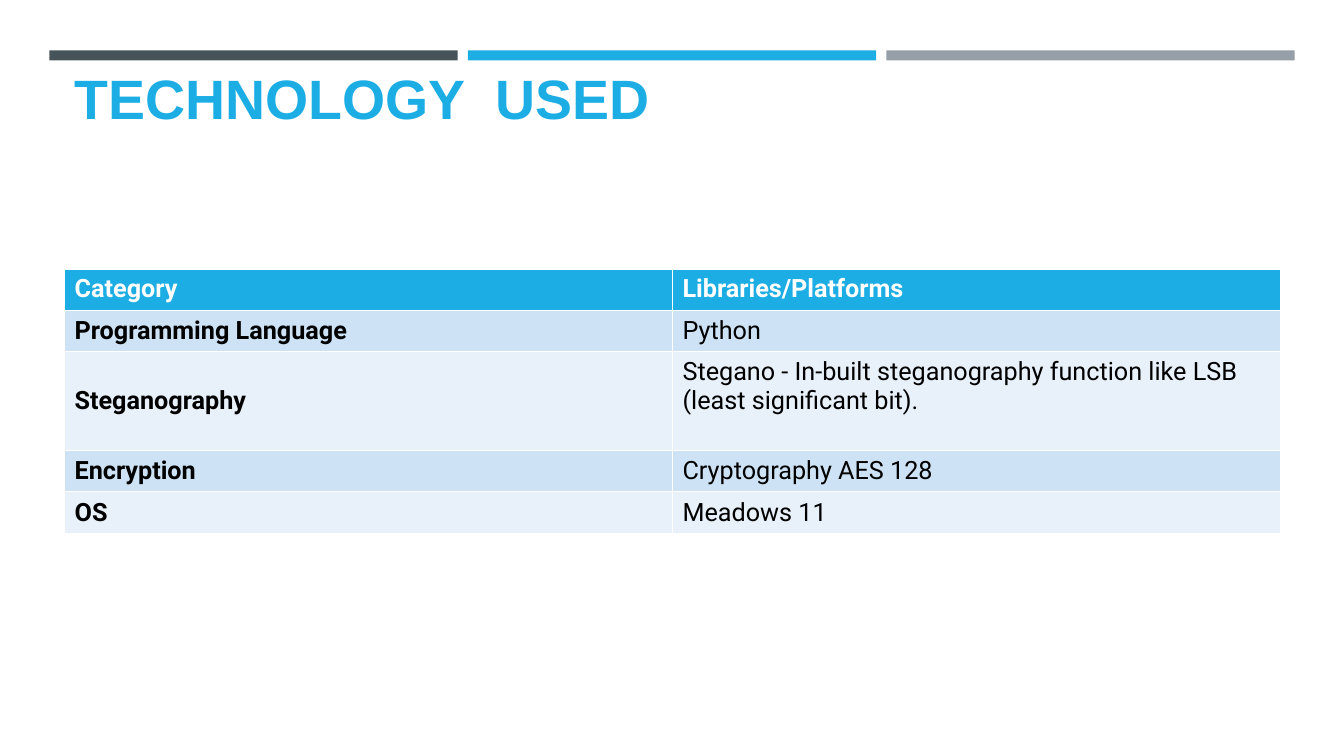
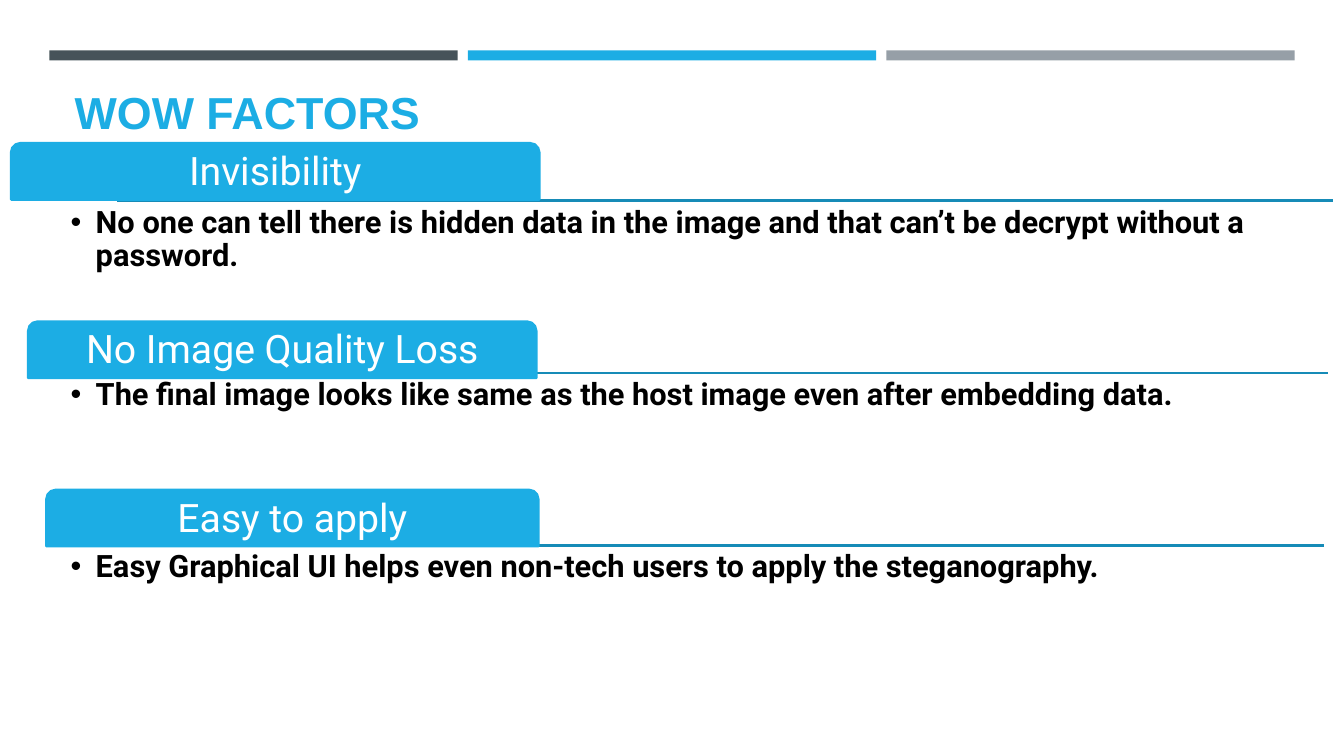
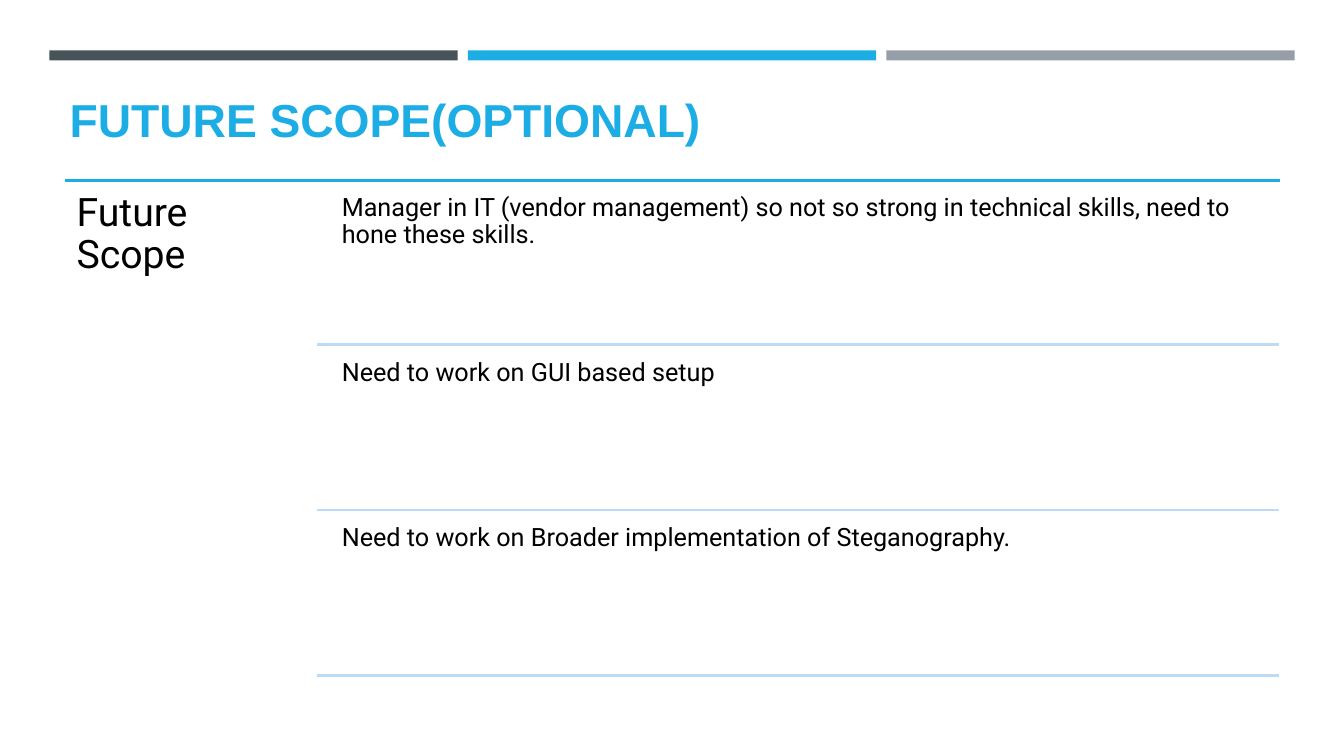
"""Build three steganography project slides: technology, wow factors and future scope."""
from dataclasses import dataclass

from lxml import etree
from pptx import Presentation
from pptx.dml.color import RGBColor
from pptx.enum.shapes import MSO_CONNECTOR, MSO_SHAPE
from pptx.enum.text import MSO_ANCHOR, MSO_AUTO_SIZE, PP_ALIGN
from pptx.oxml.ns import qn
from pptx.presentation import Presentation as Deck
from pptx.shapes.autoshape import Shape
from pptx.slide import Slide, SlideLayout
from pptx.text.text import TextFrame
from pptx.util import Inches, Pt

RECT, TAB = MSO_SHAPE.RECTANGLE, MSO_SHAPE.ROUND_2_SAME_RECTANGLE
STRAIGHT = MSO_CONNECTOR.STRAIGHT
TOP, MIDDLE, BOTTOM = MSO_ANCHOR.TOP, MSO_ANCHOR.MIDDLE, MSO_ANCHOR.BOTTOM
LEFT, CENTER = PP_ALIGN.LEFT, PP_ALIGN.CENTER
NO_AUTOFIT = MSO_AUTO_SIZE.NONE

COLORS = {
    "accent": "1CADE4",
    "slate": "465359",
    "gray": "969FA7",
    "rule": "168BB7",
    "pale_rule": "BDDBF2",
    "row_dark": "CDE3F5",
    "row_light": "E8F1FA",
    "white": "FFFFFF",
    "black": "000000",
}
FONTS = {
    "title": {"name": "Arial", "bold": True},
    "header": {"name": "Roboto", "size": Pt(18), "bold": True},
    "body": {"name": "Roboto", "size": Pt(18), "bold": False},
    "heading": {"name": "Roboto", "size": Pt(28), "bold": False},
    "detail": {"name": "Roboto", "size": Pt(22), "bold": True},
}
MARGIN, CONTENT_WIDTH = 0.64, 12.06


@dataclass(frozen=True)
class Title:
    text: str
    left: float
    top: float
    size: float
    spacing: float = 1.0


@dataclass(frozen=True)
class Factor:
    heading: str
    detail: str
    tab_left: float
    tab_top: float
    tab_width: float
    rule_left: float


@dataclass(frozen=True)
class TechRow:
    category: str
    platform: str
    height: float = 0.41
    anchor: MSO_ANCHOR = MIDDLE


BANDS = ("slate", "accent", "gray")
TECHNOLOGY = (
    TechRow("Category", "Libraries/Platforms", anchor=TOP),
    TechRow("Programming Language", "Python"),
    TechRow(
        "Steganography",
        "Stegano - In-built steganography function like LSB (least significant bit).",
        0.98,
        TOP,
    ),
    TechRow("Encryption", "Cryptography AES 128"),
    TechRow("OS", "Meadows 11"),
)
FACTORS = (
    Factor(
        "Invisibility",
        "No one can tell there is hidden data in the image and that can’t be decrypt "
        "without a password.",
        0.11, 1.42, 5.24, 1.16,
    ),
    Factor(
        "No Image Quality Loss",
        "The final image looks like same as the host image even after embedding data.",
        0.28, 3.19, 5.04, 1.11,
    ),
    Factor(
        "Easy to apply",
        "Easy Graphical UI helps even non-tech users to apply the steganography.",
        0.46, 4.86, 4.88, 1.07,
    ),
)
FUTURE_STEPS = (
    "Manager in IT (vendor management) so not so strong in technical skills, "
    "need to hone these skills.",
    "Need to work on GUI based setup",
    "Need to work on Broader implementation of Steganography.",
)


def rgb(color: str) -> RGBColor:
    return RGBColor.from_string(COLORS[color])


def write(frame: TextFrame, text: str, style: str, color: str = "black",
          align: PP_ALIGN = LEFT, spacing: float = 1.0) -> None:
    paragraph = frame.paragraphs[0]
    paragraph.alignment = align
    paragraph.line_spacing = spacing
    run = paragraph.add_run()
    run.text = text
    run.font.color.rgb = rgb(color)
    for attribute, value in FONTS[style].items():
        setattr(run.font, attribute, value)


def set_frame(frame: TextFrame, inset: float, anchor: MSO_ANCHOR) -> None:
    settings = {"word_wrap": True, "auto_size": NO_AUTOFIT, "vertical_anchor": anchor}
    for side in ("left", "top", "right", "bottom"):
        settings[f"margin_{side}"] = Inches(inset)
    for attribute, value in settings.items():
        setattr(frame, attribute, value)


def add_block(slide: Slide, shape_type: MSO_SHAPE, left: float, top: float,
              width: float, height: float, color: str) -> Shape:
    block = slide.shapes.add_shape(
        shape_type, Inches(left), Inches(top), Inches(width), Inches(height)
    )
    block.shadow.inherit = False
    block.fill.solid()
    block.fill.fore_color.rgb = rgb(color)
    block.line.fill.background()
    return block


def add_text(slide: Slide, left: float, top: float, width: float, height: float,
             inset: float, text: str, style: str) -> Shape:
    box = slide.shapes.add_textbox(
        Inches(left), Inches(top), Inches(width), Inches(height)
    )
    set_frame(box.text_frame, inset, TOP)
    write(box.text_frame, text, style, spacing=0.9)
    return box


def add_rule(slide: Slide, left: float, y: float, width: float, color: str) -> None:
    rule = slide.shapes.add_connector(
        STRAIGHT, Inches(left), Inches(y), Inches(left + width), Inches(y)
    )
    rule.line.color.rgb = rgb(color)
    rule.line.width = Pt(1.75)
    etree.SubElement(rule.element.spPr, qn("a:effectLst"))


def add_bullet(box: Shape) -> None:
    properties = box.element.find(f".//{qn('a:pPr')}")
    properties.set("marL", str(Inches(0.25)))
    properties.set("indent", str(-Inches(0.25)))
    etree.SubElement(properties, qn("a:buFont"), typeface="Arial")
    etree.SubElement(properties, qn("a:buChar"), char="•")


def clear_footers(layout: SlideLayout) -> None:
    for placeholder in list(layout.placeholders)[1:]:
        layout.shapes.element.remove(placeholder.element)


def move_bands_to_layout(slide: Slide, layout: SlideLayout) -> None:
    for index, color in enumerate(BANDS):
        band = add_block(slide, RECT, 0.49 + 4.15 * index, 0.5, 4.05, 0.1, color)
        layout.shapes.element.append(band.element)


def add_titled_slide(deck: Deck, layout: SlideLayout, title: Title) -> Slide:
    slide = deck.slides.add_slide(layout)
    heading = slide.shapes.title
    place = {"left": title.left, "top": title.top, "width": CONTENT_WIDTH, "height": 0.58}
    for attribute, value in place.items():
        setattr(heading, attribute, Inches(value))
    frame = heading.text_frame
    set_frame(frame, 0.05, BOTTOM)
    frame.margin_left = frame.margin_right = Inches(0.1)
    write(frame, title.text, "title", "accent", spacing=title.spacing)
    frame.paragraphs[0].runs[0].font.size = Pt(title.size)
    return slide


def fill_technology(slide: Slide) -> None:
    total = sum(row.height for row in TECHNOLOGY)
    table = slide.shapes.add_table(
        len(TECHNOLOGY), 2, Inches(MARGIN), Inches(2.67),
        Inches(CONTENT_WIDTH), Inches(total),
    ).table
    for index, row in enumerate(TECHNOLOGY):
        table.rows[index].height = Inches(row.height)
        is_header = index == 0
        fill = "accent" if is_header else ("row_light", "row_dark")[index % 2]
        color = "white" if is_header else "black"
        cells = (
            (row.category, "header", TOP if is_header else MIDDLE),
            (row.platform, "header" if is_header else "body", row.anchor),
        )
        for column, (text, style, anchor) in enumerate(cells):
            cell = table.cell(index, column)
            cell.fill.solid()
            cell.fill.fore_color.rgb = rgb(fill)
            cell.vertical_anchor = anchor
            write(cell.text_frame, text, style, color)


def fill_factors(slide: Slide) -> None:
    for index, factor in enumerate(FACTORS):
        y = 1.99 + 1.71 * index
        add_rule(slide, factor.rule_left, y, CONTENT_WIDTH, "rule")
        tab = add_block(slide, TAB, factor.tab_left, factor.tab_top,
                        factor.tab_width, 0.56, "accent")
        tab.line.color.rgb = rgb("accent")
        tab.line.width = Pt(1.75)
        set_frame(tab.text_frame, 0.06, MIDDLE)
        write(tab.text_frame, factor.heading, "heading", "white", CENTER, 0.9)
        add_bullet(add_text(slide, MARGIN, y, CONTENT_WIDTH, 1.12, 0.06,
                            factor.detail, "detail"))


def fill_future(slide: Slide) -> None:
    add_rule(slide, MARGIN, 1.79, CONTENT_WIDTH, "accent")
    add_text(slide, MARGIN, 1.79, 2.5, 4.99, 0.12, "Future Scope", "heading")
    for index, step in enumerate(FUTURE_STEPS):
        top = 1.86 + 1.64 * index
        add_text(slide, 3.32, top, 9.38, 1.56, 0.07, step, "body")
        add_rule(slide, 3.14, top + 1.56, 9.55, "pale_rule")


def main() -> None:
    deck = Presentation()
    deck.slide_width, deck.slide_height = Inches(13.33), Inches(7.5)
    layout = deck.slide_layouts.get_by_name("Title Only")
    clear_footers(layout)
    technology = add_titled_slide(
        deck, layout, Title("TECHNOLOGY  USED", MARGIN, 0.77, 39.6)
    )
    move_bands_to_layout(technology, layout)
    fill_technology(technology)
    fill_factors(add_titled_slide(deck, layout, Title("WOW FACTORS", MARGIN, 0.84, 32)))
    fill_future(add_titled_slide(
        deck, layout, Title("FUTURE SCOPE(OPTIONAL)", 0.59, 0.92, 33, 0.8)
    ))
    deck.save("out.pptx")


if __name__ == "__main__":
    main()
